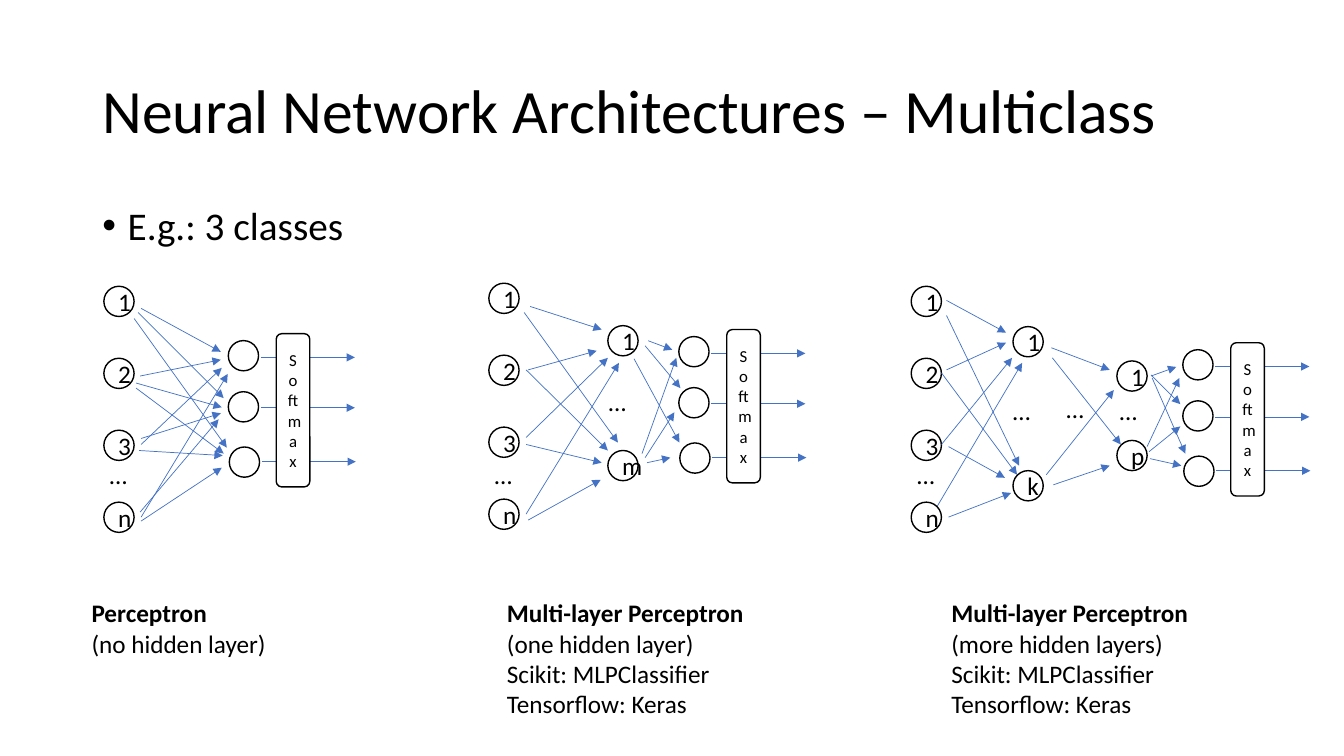
import dataclasses
import typing
import lxml.etree
import pptx
import pptx.dml.color
import pptx.enum.shapes
import pptx.enum.text
import pptx.oxml
import pptx.oxml.ns
import pptx.util

Pt = pptx.util.Pt
Kind = pptx.enum.shapes.MSO_SHAPE
Align = pptx.enum.text.PP_ALIGN
Anchor = pptx.enum.text.MSO_ANCHOR
Point = tuple[float, float]
Arrow = tuple[float, float, float, float]
BLACK, WHITE, BLUE = "000000", "FFFFFF", "4472C4"
NODE = 21.6
STEP = 51.4
DOTS_TOP = 324.7


@dataclasses.dataclass
class Node:
    left: float
    top: float
    label: str = ""


@dataclasses.dataclass
class Net:
    input: Point
    softmax: Point
    hidden: list[Node]
    dots: list[Point]
    arrows: list[Arrow]
    note: Point
    width: float
    lines: list[str]


def paint(code: str) -> pptx.dml.color.RGBColor:
    return pptx.dml.color.RGBColor.from_string(code)


def style(par: typing.Any, size: float, bold: bool = False) -> None:
    for run in par.runs:
        run.font.name = "Calibri"
        run.font.size = Pt(size)
        run.font.bold = bold
        run.font.color.rgb = paint(BLACK)


def place(item: typing.Any, left: float, top: float, width: float, height: float) -> None:
    item.left, item.top = Pt(left), Pt(top)
    item.width, item.height = Pt(width), Pt(height)


def add_block(kind: typing.Any, left: float, top: float, width: float,
              height: float, label: str, size: float) -> None:
    block = slide.shapes.add_shape(kind, Pt(left), Pt(top), Pt(width), Pt(height))
    block.shadow.inherit = False
    block.fill.solid()
    block.fill.fore_color.rgb = paint(WHITE)
    block.line.color.rgb = paint(BLACK)
    block.line.width = Pt(1)
    if label:
        frame = block.text_frame
        frame.text = label
        frame.vertical_anchor = Anchor.MIDDLE
        frame.paragraphs[0].alignment = Align.CENTER
        style(frame.paragraphs[0], size)


def add_node(node: Node) -> None:
    add_block(Kind.OVAL, node.left, node.top, NODE, NODE, node.label, 18)


def add_arrow(x1: float, y1: float, x2: float, y2: float) -> None:
    line = slide.shapes.add_connector(
        pptx.enum.shapes.MSO_CONNECTOR.STRAIGHT, Pt(x1), Pt(y1), Pt(x2), Pt(y2))
    line.line.color.rgb = paint(BLUE)
    line.line.width = Pt(0.5)
    qn = pptx.oxml.ns.qn
    edge = line.line._get_or_add_ln()
    lxml.etree.SubElement(edge, qn("a:tailEnd")).set("type", "triangle")
    lxml.etree.SubElement(line._element.spPr, qn("a:effectLst"))


def add_text(left: float, top: float, width: float, height: float,
             lines: list[str], bold: bool = False) -> None:
    box = slide.shapes.add_textbox(Pt(left), Pt(top), Pt(width), Pt(height))
    frame = box.text_frame
    frame.word_wrap = True
    frame.text = "\n".join(lines)
    for row, par in enumerate(frame.paragraphs):
        style(par, 18, bold and row == 0)


def add_dots(left: float, top: float) -> None:
    add_text(left, top, 29.5, 28.8, ["…"])


def add_input(left: float, top: float) -> None:
    for row, label in enumerate("123n"):
        add_node(Node(left, top + row * STEP, label))
    add_dots(left - 2.9, DOTS_TOP)


def add_output(left: float, top: float) -> None:
    for shift, down, level in ((0, 5, 17), (0, 41.5, 53), (0.7, 81, 91.5)):
        add_node(Node(left - 34.2 + shift, top + down))
        add_arrow(left - 11 + shift, top + level, left + 56.2 + shift, top + level)
    add_block(Kind.ROUNDED_RECTANGLE, left, top, 24, 109.5, "Softmax", 12)


def add_net(net: Net) -> None:
    add_input(*net.input)
    for node in net.hidden:
        add_node(node)
    for spot in net.dots:
        add_dots(*spot)
    for arrow in net.arrows:
        add_arrow(*arrow)
    add_output(*net.softmax)
    add_text(*net.note, net.width, 11 + 21 * len(net.lines), net.lines, True)


def fill_holder(holder: typing.Any, text: str, size: float, anchor: typing.Any) -> typing.Any:
    frame = holder.text_frame
    frame.text = text
    frame.auto_size = pptx.enum.text.MSO_AUTO_SIZE.NONE
    frame.vertical_anchor = anchor
    par = frame.paragraphs[0]
    par.alignment = Align.LEFT
    par.line_spacing = 0.9
    style(par, size)
    return par


TOOLS = ["Scikit: MLPClassifier", "Tensorflow: Keras"]
NETS = [
    Net((74.2, 204.5), (197.3, 238.3), [], [], [
        (100.8, 220.3, 157.7, 251.3), (100.1, 268.6, 157.7, 257),
        (100.8, 317.5, 158.4, 262.8), (100.8, 369.4, 162.7, 267.1),
        (97.2, 273.6, 158.4, 290.9), (98.6, 223.2, 159.8, 284.4),
        (95.8, 227.5, 162, 319.7), (100.8, 313.2, 157.7, 295.2),
        (99.4, 321.8, 159.1, 325.4), (100.1, 365.8, 156.2, 299.5),
        (100.8, 372.2, 158.4, 334.1), (97.2, 277.2, 159.8, 324),
    ], (58.3, 423.4), 180, ["Perceptron", "(no hidden layer)"]),
    Net((349.2, 202.3), (519.1, 235.4),
        [Node(434.2, 232.6, "1"), Node(434.2, 321.8, "m")], [(427.7, 272.2)], [
        (378.7, 218.9, 429.8, 235.4), (377.3, 264.2, 426.2, 250.6),
        (375.8, 312.5, 434.2, 255.6), (375.8, 367.2, 442.1, 259.2),
        (374.4, 223.2, 441.4, 316.1), (375.8, 264.2, 434.2, 321.8),
        (375.8, 317.5, 429.8, 330.5), (377.3, 371.5, 429.1, 342.7),
        (463, 243.4, 480.2, 249.8), (462.2, 330.5, 478.8, 326.9),
        (460.8, 326.9, 481.7, 294.5), (458.6, 324, 483.1, 255.6),
        (460.8, 247, 486, 277.2), (452.9, 256.3, 485.3, 316.1),
    ], (355, 423.4), 211, ["Multi-layer Perceptron", "(one hidden layer)", *TOOLS]),
    Net((650.9, 204.5), (879.1, 244.8),
        [Node(797.8, 257.8, "1"), Node(797.8, 314.6, "p"),
         Node(723.6, 233.3, "1"), Node(723.6, 336.2, "k")],
        [(716.4, 278.6), (792.7, 278.6), (754.6, 277.2)], [
        (676.1, 214.6, 718.6, 237.6), (676.1, 225.4, 727.9, 332.6),
        (676.1, 264.2, 718.6, 244.8), (672.5, 266.4, 726.5, 339.1),
        (672.5, 317.5, 722.9, 255.6), (677.5, 319, 717.8, 341.3),
        (669.6, 361.4, 730.1, 259.2), (677.5, 369.4, 722.2, 352.1),
        (751, 248.4, 792.7, 264.2), (751.7, 255.6, 800.6, 317.5),
        (747.4, 339.1, 795.6, 278.6), (752.4, 346.3, 792.7, 332.6),
        (822.2, 268.6, 840.2, 262.1), (822.2, 267.8, 843.1, 288.7),
        (823, 270, 846.7, 324), (819.4, 319, 842.4, 270),
        (820.8, 322.6, 843.1, 304.6), (821.5, 327.6, 843.8, 332.6),
    ], (672.5, 423.4), 211, ["Multi-layer Perceptron", "(more hidden layers)", *TOOLS]),
]

deck = pptx.Presentation()
deck.slide_width, deck.slide_height = Pt(960), Pt(540)
slide = deck.slides.add_slide(deck.slide_layouts[1])
title, body = slide.placeholders
place(title, 66, 28.8, 828, 104.4)
fill_holder(title, "Neural Network Architectures – Multiclass", 44, Anchor.MIDDLE)
place(body, 66, 144, 828, 342.7)
item = fill_holder(body, "E.g.: 3 classes", 28, Anchor.TOP)
item.space_before = Pt(10)
props = item._p.get_or_add_pPr()
props.set("marL", str(Pt(18)))
props.set("indent", str(Pt(-18)))

for net in NETS:
    add_net(net)
deck.save("out.pptx")
